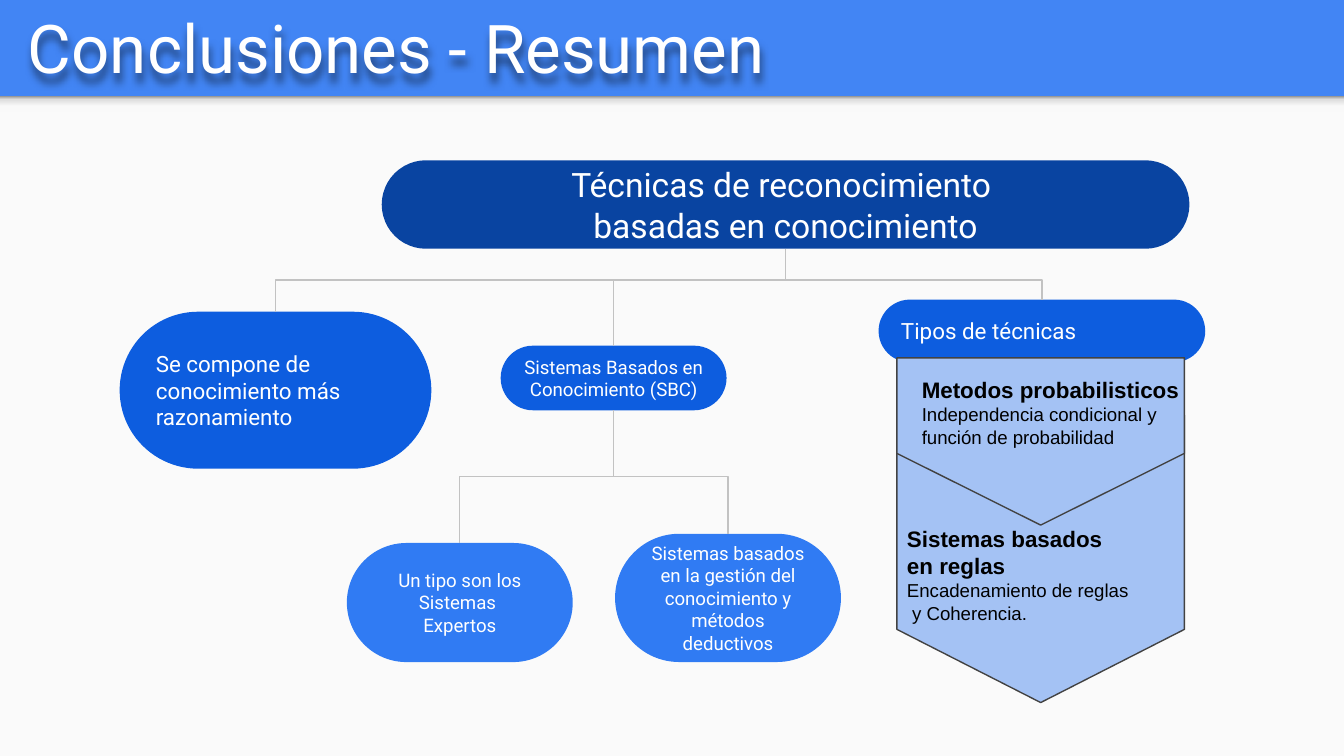
import pptx
import pptx.dml.color
import pptx.enum.shapes
import pptx.enum.text
import pptx.oxml
import pptx.oxml.ns
import pptx.util

Pt = pptx.util.Pt
SHAPE = pptx.enum.shapes.MSO_SHAPE
ALIGN = pptx.enum.text.PP_ALIGN
ANCHOR = pptx.enum.text.MSO_ANCHOR

THEME = {
    "colors": {
        "header": "4285F4", "page": "FAFAFA", "white": "FFFFFF", "black": "000000",
        "root": "0944A1", "branch": "0D5DDF", "leaf": "307BF3",
        "band": "A4C2F4", "outline": "424242", "link": "C2C2C2",
    },
    "edge": [(0, "F9F9F9"), (36, "F9F9F9"), (80, "DEDEDE"), (100, "999999")],
    "styles": {
        "title": {"name": "Roboto", "size": Pt(36)},
        "root": {"name": "Roboto", "size": Pt(18)},
        "branch": {"name": "Roboto", "size": Pt(12)},
        "node": {"name": "Roboto", "size": Pt(10)},
        "heading": {"name": "Arial", "size": Pt(12), "bold": True},
        "body": {"name": "Arial", "size": Pt(10), "bold": False},
    },
    "line": Pt(0.75),
    "inset": Pt(7.2),
}

WIDTH, HEIGHT, HEADER = 720, 405, 51.6
TITLE = ((7.9, 1.4, 694.8, 47.5), [("Conclusiones - Resumen", "title")])

NODES = {
    "root": ((204.5, 85.9, 432.7, 47.4), "root", ALIGN.CENTER,
             [("Técnicas de reconocimiento ", "root"), ("basadas en conocimiento", "root")]),
    "systems": ((268.2, 185.2, 121, 34.6), "branch", ALIGN.CENTER,
                [("Sistemas Basados en Conocimiento (SBC)", "node")]),
    "reasoning": ((64.1, 167, 167, 84.1), "branch", ALIGN.LEFT,
                  [("Se compone de conocimiento más razonamiento", "branch")]),
    "expert": ((185.8, 290.9, 121, 63.8), "leaf", ALIGN.CENTER,
               [("Un tipo son los Sistemas ", "node"), ("Expertos", "node")]),
    "deductive": ((329.5, 286, 121, 68.7), "leaf", ALIGN.CENTER,
                  [("Sistemas basados en la gestión del conocimiento y métodos deductivos", "node")]),
    "types": ((470.7, 160.5, 175, 33.6), "branch", ALIGN.LEFT,
              [("Tipos de técnicas", "branch")]),
}

LINKS = [
    ("root", 150, ["systems", "reasoning", "types"]),
    ("systems", 255.3, ["deductive", "expert"]),
]

LOWER_BAND = ((480.5, 222.5, 154, 153.9), 39.2)
UPPER_BAND = ((480.5, 191.7, 154, 89.6), 38.4)

NOTES = [
    ((486.7, 194.4, 159.1, 26.6),
     [("Metodos probabilisticos", "heading"),
      ("Independencia condicional y función de probabilidad", "body")]),
    ((478.8, 274.3, 159.1, 26.6),
     [("Sistemas basados", "heading"), ("en reglas", "heading"),
      ("Encadenamiento de reglas", "body"), (" y Coherencia.", "body")]),
]


def color(name):
    return pptx.dml.color.RGBColor.from_string(THEME["colors"][name])


def xml(text):
    namespace = pptx.oxml.ns.nsdecls("a")
    return pptx.oxml.parse_xml(text.replace(" NS", " " + namespace, 1))


def add_shape(slide, kind, box, fill, outline=None):
    shape = slide.shapes.add_shape(kind, *map(Pt, box))
    shape.shadow.inherit = False
    shape.fill.solid()
    shape.fill.fore_color.rgb = color(fill)
    if outline:
        shape.line.color.rgb = color(outline)
        shape.line.width = THEME["line"]
    else:
        shape.line.fill.background()
    return shape


def write(shape, lines, ink, align=ALIGN.LEFT, anchor=ANCHOR.MIDDLE):
    frame = shape.text_frame
    settings = {"word_wrap": True, "vertical_anchor": anchor}
    for side in ("left", "top", "right", "bottom"):
        settings["margin_" + side] = THEME["inset"]
    for name, value in settings.items():
        setattr(frame, name, value)
    for index, (text, style) in enumerate(lines):
        paragraph = frame.add_paragraph() if index else frame.paragraphs[0]
        paragraph.alignment = align
        run = paragraph.add_run()
        run.text = text
        for name, value in THEME["styles"][style].items():
            setattr(run.font, name, value)
        run.font.color.rgb = color(ink)


def add_header(slide):
    slide.background.fill.solid()
    slide.background.fill.fore_color.rgb = color("header")
    add_shape(slide, SHAPE.RECTANGLE, (0, HEADER, WIDTH, HEIGHT - HEADER), "page")
    edge = add_shape(slide, SHAPE.RECTANGLE, (0, HEADER, WIDTH, 8.6), "page")
    stops = "".join(f'<a:gs pos="{at * 1000}"><a:srgbClr val="{value}"/></a:gs>'
                    for at, value in THEME["edge"])
    properties = edge._element.spPr
    properties.replace(
        properties.find(pptx.oxml.ns.qn("a:solidFill")),
        xml(f'<a:gradFill NS><a:gsLst>{stops}</a:gsLst><a:lin ang="16200000" scaled="0"/></a:gradFill>'))
    box, lines = TITLE
    title = slide.shapes.add_textbox(*map(Pt, box))
    write(title, lines, "white")
    title._element.spPr.append(xml(
        '<a:effectLst NS><a:outerShdw blurRad="57150" dist="57150" dir="5400000" algn="bl" '
        'rotWithShape="0"><a:srgbClr val="000000"><a:alpha val="50000"/></a:srgbClr>'
        '</a:outerShdw></a:effectLst>'))


def add_band(slide, box, tip):
    left, top, width, height = box
    shift = (width - height) / 2
    turned = (left + shift, top - shift, height, width)
    band = add_shape(slide, SHAPE.PENTAGON, turned, "band", "outline")
    band.rotation = 90
    band.adjustments[0] = tip / min(width, height)


def add_link(slide, parent, child, bend):
    link = slide.shapes.add_connector(pptx.enum.shapes.MSO_CONNECTOR.ELBOW, 0, 0, 0, 0)
    link.begin_connect(parent, 2)
    link.end_connect(child, 0)
    start_x, start_y, end_x, end_y = link.begin_x, link.begin_y, link.end_x, link.end_y
    drop, span = end_y - start_y, abs(end_x - start_x)
    rightward = end_x > start_x
    geometry = {
        "left": (start_x + end_x - drop) // 2, "top": (start_y + end_y - span) // 2,
        "width": drop, "height": span, "rotation": 270 if rightward else 90,
    }
    for name, value in geometry.items():
        setattr(link, name, value)
    properties = link._element.spPr
    properties.xfrm.set("flipH", str(int(rightward)))
    properties.xfrm.set("flipV", "0")
    ratio = round((Pt(bend) - start_y) / drop * 100000)
    preset = properties.find(pptx.oxml.ns.qn("a:prstGeom"))
    for old in list(preset):
        preset.remove(old)
    preset.append(xml(f'<a:avLst NS><a:gd name="adj1" fmla="val {ratio}"/></a:avLst>'))
    link.line.color.rgb = color("link")
    link.line.width = THEME["line"]
    properties.append(xml("<a:effectLst NS/>"))


def main():
    """Build the summary slide with its concept tree."""
    presentation = pptx.Presentation()
    presentation.slide_width, presentation.slide_height = Pt(WIDTH), Pt(HEIGHT)
    slide = presentation.slides.add_slide(presentation.slide_layouts[6])
    add_header(slide)
    add_band(slide, *LOWER_BAND)
    shapes = {}
    for name, (box, fill, align, lines) in NODES.items():
        shapes[name] = add_shape(slide, SHAPE.ROUNDED_RECTANGLE, box, fill)
        shapes[name].adjustments[0] = 0.5
        write(shapes[name], lines, "white", align)
    for parent, bend, children in LINKS:
        for child in children:
            add_link(slide, shapes[parent], shapes[child], bend)
    add_band(slide, *UPPER_BAND)
    for box, lines in NOTES:
        write(slide.shapes.add_textbox(*map(Pt, box)), lines, "black", anchor=ANCHOR.TOP)
    presentation.save("out.pptx")


if __name__ == "__main__":
    main()
